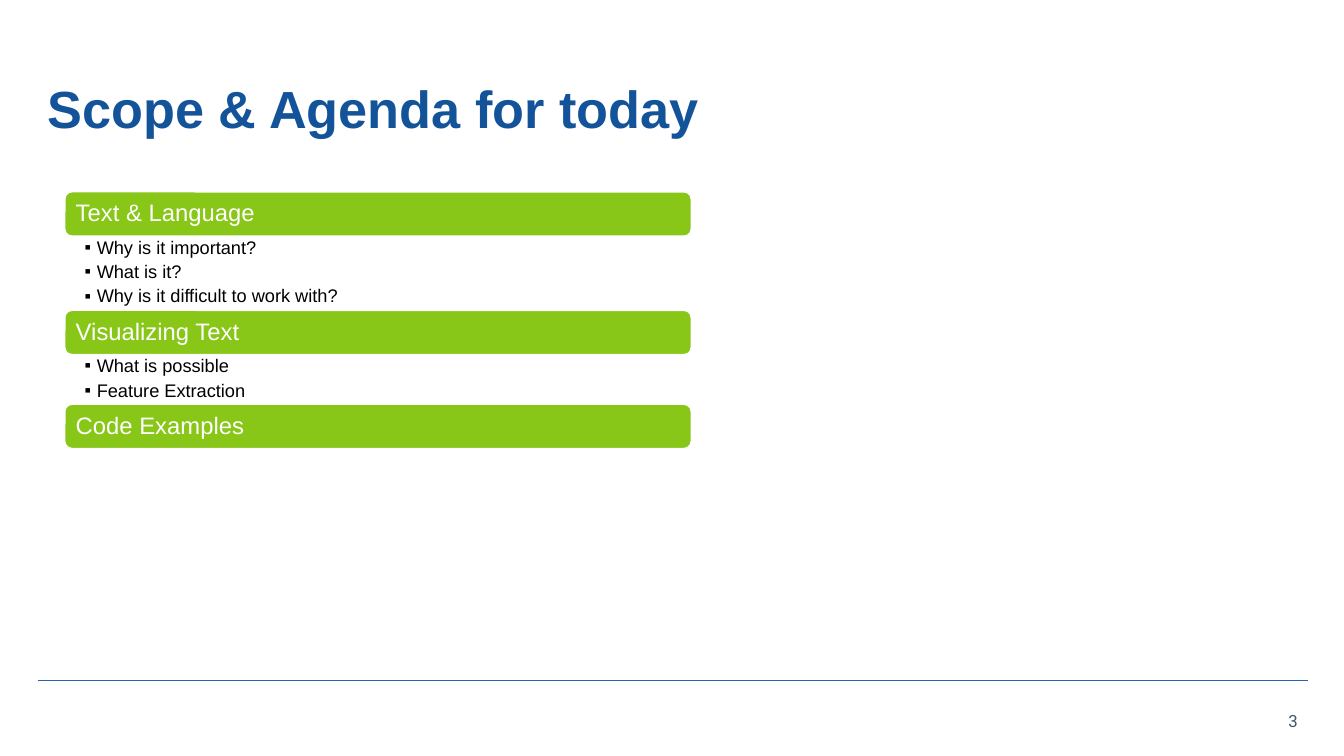
from lxml.etree import SubElement
from pptx import Presentation
from pptx.dml.color import RGBColor
from pptx.enum.shapes import MSO_CONNECTOR as CONN, MSO_SHAPE as SHAPE
from pptx.enum.text import MSO_ANCHOR as ANCHOR, MSO_AUTO_SIZE as FIT, PP_ALIGN as ALIGN
from pptx.oxml.ns import qn
from pptx.util import Inches, Pt

WHITE, BLUE, GREEN, RULE, SLATE, BLACK = "FEFFFE", "135399", "88C617", "2A64A8", "44546A", "000000"


def rgb(value):
    return RGBColor.from_string(value)


class Deck:
    font = "Arial"

    def __init__(self, prs, layout):
        self.w, self.h = prs.slide_width, prs.slide_height
        self.s = prs.slides.add_slide(prs.slide_layouts[layout])
        self.s.background.fill.solid()
        self.s.background.fill.fore_color.rgb = rgb(WHITE)

    def box(self, x, y, w, h):
        return [round(v * size / 100) for v, size in zip((x, y, w, h), (self.w, self.h) * 2)]

    def place(self, sp, *share):
        sp.left, sp.top, sp.width, sp.height = self.box(*share)

    def frame(self, sp, anchor, left=0.1, top=0.05, right=0.1, bottom=0.05):
        tf = sp.text_frame
        tf.word_wrap, tf.auto_size, tf.vertical_anchor = True, FIT.NONE, anchor
        tf.margin_left, tf.margin_top = Inches(left), Inches(top)
        tf.margin_right, tf.margin_bottom = Inches(right), Inches(bottom)
        return tf

    def text(self, p, words, size, color, bold=False, align=ALIGN.LEFT, font=None, spacing=0.9):
        p.alignment, p.line_spacing, p.space_before = align, spacing, Pt(0)
        r = p.add_run()
        r.text = words
        r.font.name, r.font.size, r.font.bold = font or self.font, Pt(size), bold
        r.font.color.rgb = rgb(color)

    def rule(self, x, y, w):
        left, top, width, _ = self.box(x, y, w, 0)
        line = self.s.shapes.add_connector(CONN.STRAIGHT, left, top, left + width, top)
        line.line.color.rgb, line.line.width = rgb(RULE), Pt(0.5)
        SubElement(line._element.spPr, qn("a:effectLst"))

    def title(self, words, *share):
        sp = self.s.shapes.title
        self.place(sp, *share)
        self.text(self.frame(sp, ANCHOR.MIDDLE).paragraphs[0], words, 37.3, BLUE, bold=True)

    def number(self, words, *share):
        sp = self.s.shapes.add_textbox(*self.box(*share))
        p = self.frame(sp, ANCHOR.MIDDLE).paragraphs[0]
        self.text(p, words, 12, SLATE, align=ALIGN.RIGHT, font="Roboto", spacing=1.0)

    def bar(self, words, *share):
        sp = self.s.shapes.add_shape(SHAPE.ROUNDED_RECTANGLE, *self.box(*share))
        sp.shadow.inherit = False
        sp.fill.solid()
        sp.fill.fore_color.rgb = rgb(GREEN)
        sp.line.color.rgb, sp.line.width = rgb(WHITE), Pt(1.5)
        tf = self.frame(sp, ANCHOR.MIDDLE, left=0.09, right=0.09)
        self.text(tf.paragraphs[0], words, 17, WHITE)

    def bullets(self, sp, items, *share):
        self.place(sp, *share)
        tf = self.frame(sp, ANCHOR.TOP, 0.2, 0.02, 0.13, 0.02)
        for i, item in enumerate(items):
            p = tf.paragraphs[0] if i == 0 else tf.add_paragraph()
            p.level = 1
            pPr = p._p.get_or_add_pPr()
            pPr.set("marL", str(Inches(0.12)))
            pPr.set("indent", str(-Inches(0.12)))
            SubElement(pPr, qn("a:buFont"), typeface=self.font)
            SubElement(pPr, qn("a:buChar"), char="▪")
            self.text(p, item, 13, BLACK)
            p.space_after = Pt(3.3)


def main():
    prs = Presentation()
    prs.slide_width, prs.slide_height = Inches(13.33), Inches(7.5)
    deck = Deck(prs, 3)
    deck.rule(2.8, 90, 94.5)
    deck.number("3", 91.7, 92.67, 5.6, 5.33)
    deck.title("Scope & Agenda for today", 2.8, 5.07, 94.5, 19.33)

    agenda = [
        ("Text & Language", ["Why is it important?", "What is it?", "Why is it difficult to work with?"]),
        ("Visualizing Text", ["What is possible", "Feature Extraction"]),
        ("Code Examples", []),
    ]
    x, y, w, bar_h, line_h = 4.8, 25.33, 46.66, 5.95, 3.24
    bodies = iter([sp for sp in deck.s.placeholders if sp.placeholder_format.idx > 0])
    for topic, items in agenda:
        deck.bar(topic, x, y, w, bar_h)
        y += bar_h
        if items:
            deck.bullets(next(bodies), items, x, y, w, line_h * len(items))
            y += line_h * len(items)
    prs.save("out.pptx")


if __name__ == "__main__":
    main()
